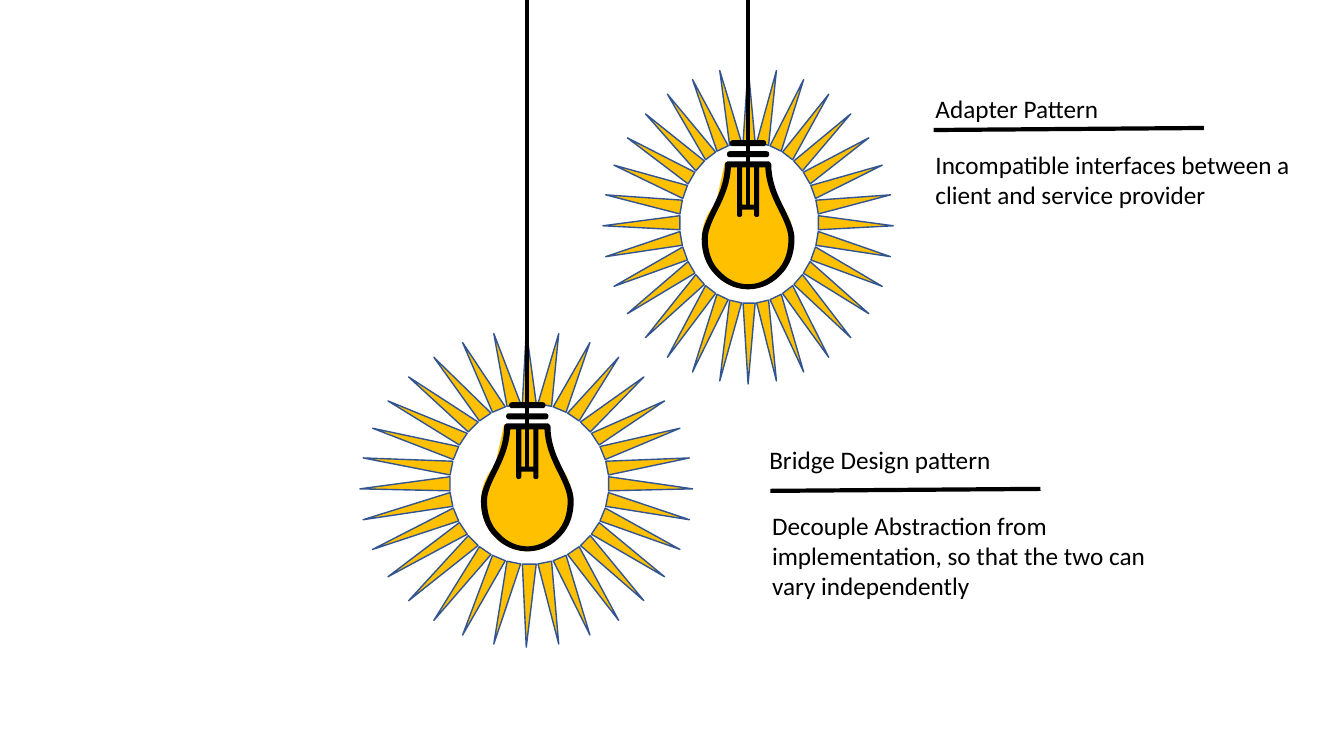
"""Build a slide of two glowing lamps, each with a design pattern note."""
from dataclasses import dataclass
from math import cos, radians, sin

from lxml.etree import SubElement
from pptx import Presentation
from pptx.dml.color import RGBColor
from pptx.enum.shapes import MSO_CONNECTOR
from pptx.enum.text import MSO_AUTO_SIZE
from pptx.oxml.ns import qn
from pptx.util import Inches, Pt


@dataclass(frozen=True)
class Theme:
    """Colours, font and sizes."""
    ink: RGBColor = RGBColor(0, 0, 0)
    glow: RGBColor = RGBColor(0xFF, 0xC0, 0x00)
    edge: RGBColor = RGBColor(0x32, 0x54, 0x91)
    font: str = "Calibri"
    size: Pt = Pt(18)
    rule: Pt = Pt(3)
    thin: Pt = Pt(1)


THEME = Theme()

LAMPS = [
    {"sun": (7.42, 2.24, 1.44, 1.57), "hole": (7.43, 2.21, 0.69, 0.8),
     "hang": (7.42, 1.39), "head": "Adapter Pattern", "top": (9.18, 0.88, 0.1),
     "text": "Incompatible interfaces between a client and service provider",
     "body": (9.18, 1.43, 0.71)},
    {"sun": (5.22, 4.85, 1.65, 1.57), "hole": (5.25, 4.8, 0.79, 0.8),
     "hang": (5.23, 3.99), "head": "Bridge Design pattern", "top": (7.42, 4.36, 0.21),
     "text": "Decouple Abstraction from implementation, so that the two can vary independently",
     "body": (7.56, 5.01, 1.01)},
]
RAYS = 32
CORD = 6.78

GLASS = [(-0.23, 0.22), (0.2, 0.22), (0.28, 0.6), (0.32, 0.63),
         (0.4, 0.72, 0.45, 0.85, 0.45, 0.99), (0.45, 1.26, 0.25, 1.48, 0, 1.48),
         (-0.25, 1.48, -0.46, 1.26, -0.46, 0.99), (-0.46, 0.85, -0.41, 0.72, -0.32, 0.63)]

HALVES = [
    [(0, 0.21), (0.2, 0.21), (0.21, 0.21, 0.23, 0.23, 0.23, 0.24),
     (0.23, 0.42, 0.3, 0.56, 0.36, 0.68), (0.41, 0.79, 0.46, 0.88, 0.46, 0.98),
     (0.46, 1.13, 0.41, 1.25, 0.33, 1.33), (0.24, 1.43, 0.12, 1.48, 0, 1.48)],
    [(0, 0.11), (0.18, 0.11), (0.22, 0.11, 0.22, 0.17, 0.18, 0.17), (0, 0.17)],
    [(0, 0.69), (0.06, 0.69), (0.06, 0.74), (0.06, 0.77, 0.11, 0.77, 0.11, 0.74),
     (0.11, 0.27), (0.17, 0.27), (0.18, 0.45, 0.25, 0.59, 0.31, 0.71),
     (0.36, 0.81, 0.4, 0.9, 0.4, 0.98), (0.4, 1.11, 0.36, 1.22, 0.29, 1.29),
     (0.21, 1.38, 0.11, 1.43, 0, 1.43)],
    [(0, 0.27), (0.06, 0.27), (0.06, 0.64), (0, 0.64)],
    [(0, 0), (0.15, 0), (0.19, 0, 0.19, 0.06, 0.15, 0.06), (0, 0.06)],
]


def trace(parts, steps=10):
    """Turn points and cubic curves into a list of points."""
    out = []
    for part in parts:
        if len(part) == 2:
            out.append(part)
            continue
        a, b, c, d = out[-1], part[:2], part[2:4], part[4:]
        for n in range(1, steps + 1):
            t = n / steps
            u = 1 - t
            out.append(tuple(u**3 * a[k] + 3 * u * u * t * b[k] + 3 * u * t * t * c[k]
                             + t**3 * d[k] for k in (0, 1)))
    return out


def mirror(half):
    """Close a half outline about the lamp axis."""
    pts = trace(half)
    return pts + [(-x, y) for x, y in reversed(pts)]


def orbit(oval, deg):
    """Find the point of an oval at an angle."""
    x, y, wide, high = oval
    return x + wide * cos(radians(deg)), y + high * sin(radians(deg))


def draw(shapes, loops, fill, edge=None, at=(0, 0)):
    """Draw closed outlines as one freeform."""
    loops = [[(Inches(x + at[0]), Inches(y + at[1])) for x, y in loop] for loop in loops]
    pen = shapes.build_freeform(*loops[0][0], scale=1.0)
    for n, loop in enumerate(loops):
        if n:
            pen.move_to(*loop[0])
        pen.add_line_segments(loop[1:], close=True)
    shape = pen.convert_to_shape()
    shape.shadow.inherit = False
    shape.fill.solid()
    shape.fill.fore_color.rgb = fill
    if edge is None:
        shape.line.fill.background()
    else:
        shape.line.color.rgb = edge
        shape.line.width = THEME.thin


def rule(shapes, *ends):
    """Draw a thick straight line."""
    line = shapes.add_connector(MSO_CONNECTOR.STRAIGHT, *map(Inches, ends))
    line.line.color.rgb = THEME.ink
    line.line.width = THEME.rule
    SubElement(line._element.spPr, qn("a:effectLst"))


def write(shapes, text, box, inset=0.1):
    """Add a wrapped text box."""
    frame = shapes.add_textbox(*map(Inches, box)).text_frame
    frame.word_wrap = True
    frame.auto_size = MSO_AUTO_SIZE.SHAPE_TO_FIT_TEXT
    frame.margin_left = Inches(inset)
    run = frame.paragraphs[0].add_run()
    run.text = text
    run.font.name = THEME.font
    run.font.size = THEME.size
    run.font.color.rgb = THEME.ink


def lamp(shapes, sun, hole, hang):
    """Draw the rays, the glass, the bulb outline and its cord."""
    step = 360 / RAYS
    rays = [[orbit(sun, n * step), orbit(hole, n * step + 5), orbit(hole, n * step - 5)]
            for n in range(RAYS)]
    draw(shapes, rays, THEME.glow, THEME.edge)
    draw(shapes, [trace(GLASS)], THEME.glow, at=hang)
    group = shapes.add_group_shape().shapes
    draw(group, [mirror(half) for half in HALVES], THEME.ink, at=hang)
    x, end = hang[0], hang[1] + 0.66
    rule(group, x, end - CORD, x, end)


def note(shapes, head, top, text, body):
    """Write a heading, a body and the rule between them."""
    group = shapes.add_group_shape().shapes
    left, y, inset = top
    write(group, head, (left, y, 3.31, 0.4), inset)
    left, y, high = body
    write(group, text, (left, y, 4.27, high))
    rule(group, left + 0.08, y - 0.14, left + 2.76, y - 0.16)


def main():
    """Build and save the deck."""
    deck = Presentation()
    deck.slide_width, deck.slide_height = Inches(13.33), Inches(7.5)
    shapes = deck.slides.add_slide(deck.slide_layouts[6]).shapes
    for item in LAMPS:
        lamp(shapes, item["sun"], item["hole"], item["hang"])
        note(shapes, item["head"], item["top"], item["text"], item["body"])
    deck.save("out.pptx")


if __name__ == "__main__":
    main()
